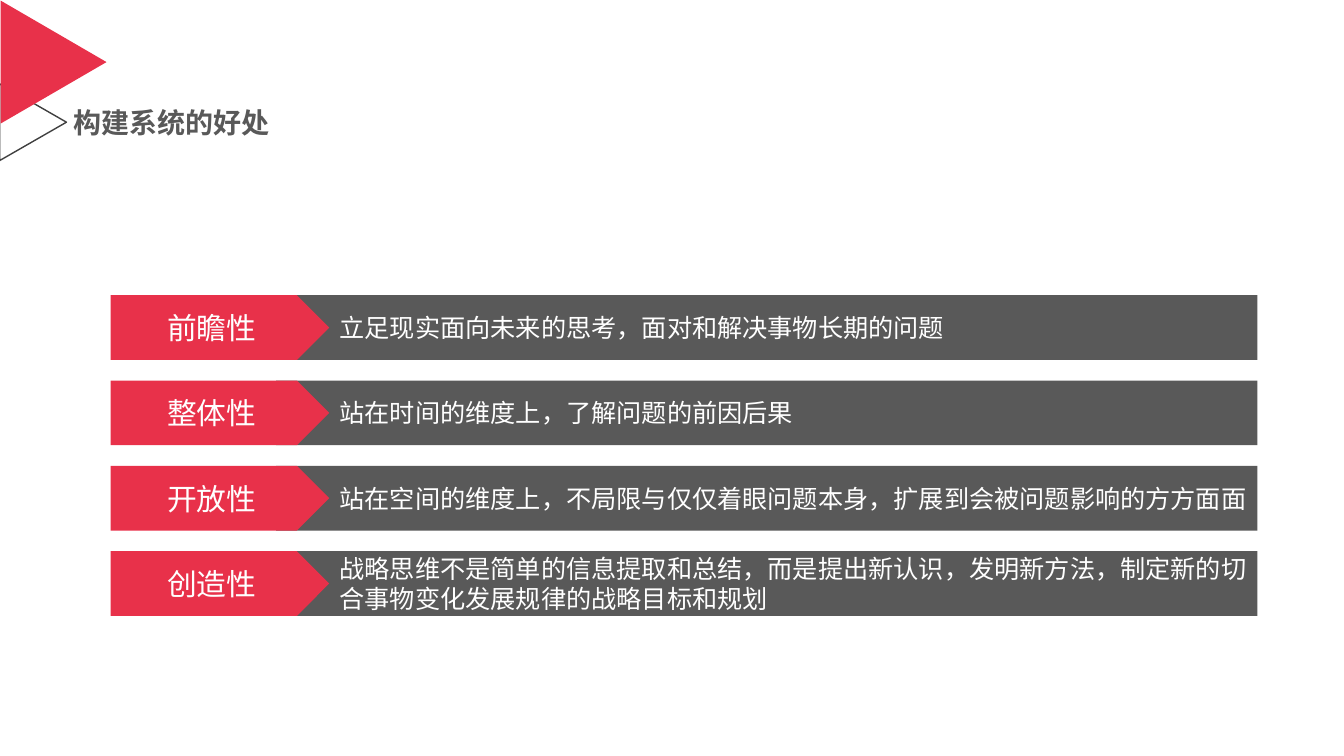
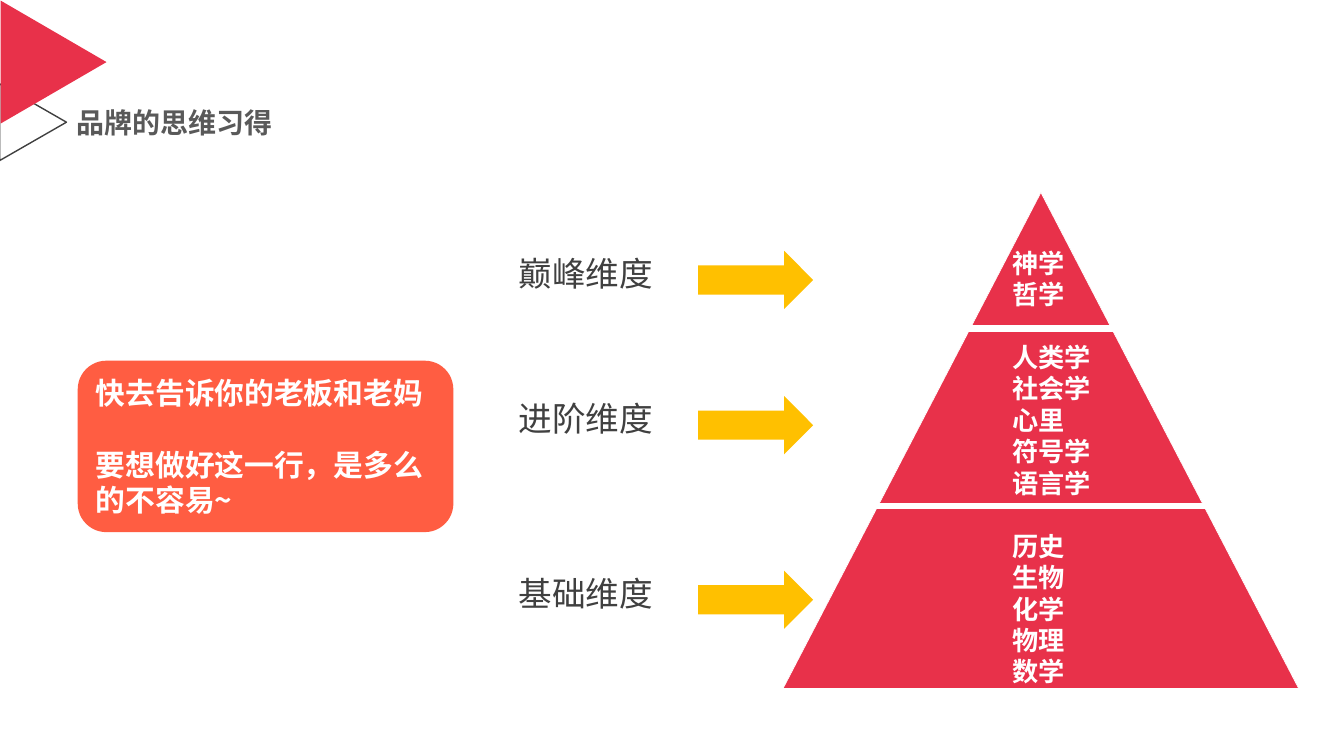
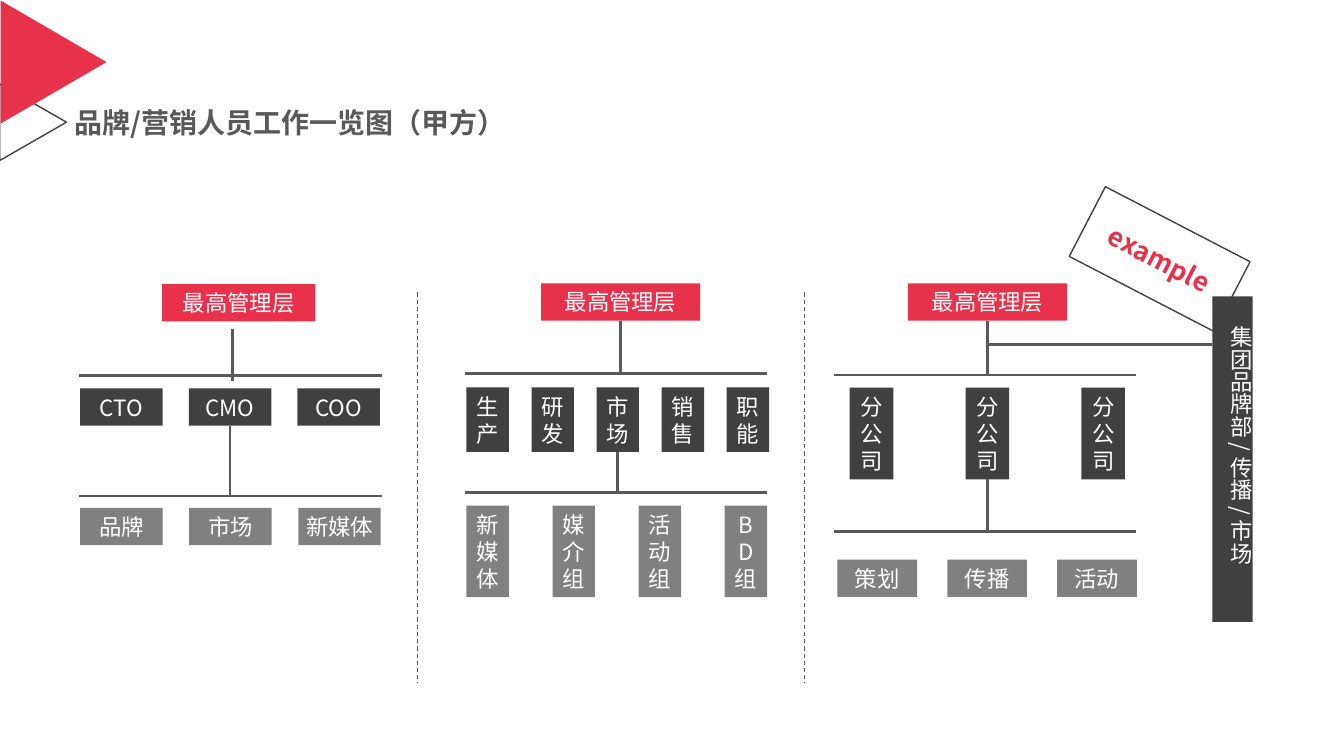
from dataclasses import dataclass

from lxml.etree import SubElement
from pptx import Presentation
from pptx.dml.color import RGBColor as RGB
from pptx.enum.dml import MSO_LINE
from pptx.enum.shapes import MSO_CONNECTOR, MSO_SHAPE as SHAPE
from pptx.enum.text import MSO_ANCHOR as ANCHOR, PP_ALIGN as ALIGN
from pptx.oxml.ns import qn
from pptx.util import Cm, Pt


@dataclass(frozen=True)
class Theme:
    font = "Noto Sans CJK SC"
    red = RGB(0xE8, 0x31, 0x4A)
    orange = RGB(0xFF, 0x5D, 0x42)
    yellow = RGB(0xFF, 0xC0, 0x00)
    white = RGB(0xFF, 0xFF, 0xFF)
    dark = RGB(0x40, 0x40, 0x40)
    grey = RGB(0x59, 0x59, 0x59)
    light = RGB(0x80, 0x80, 0x80)
    title_size = Pt(20)
    body_size = Pt(18)
    accent_size = Pt(21.3)
    level_size = Pt(24)
    subject_size = Pt(18.7)
    node_size = Pt(16)


theme = Theme()
title_text = dict(size=theme.title_size, color=theme.grey, bold=True)
body_text = dict(size=theme.body_size, color=theme.white)
quality_text = dict(size=theme.accent_size, color=theme.white)
callout_text = dict(size=theme.accent_size, color=theme.white, bold=True)
level_text = dict(size=theme.level_size, color=theme.dark)
subject_text = dict(size=theme.subject_size, color=theme.white, bold=True)
node_text = dict(size=theme.node_size, color=theme.white)
stamp_text = dict(size=theme.subject_size, color=theme.red, bold=True)

tight = dict.fromkeys(
    ("margin_left", "margin_right", "margin_top", "margin_bottom"), Cm(0.13))
top = dict(vertical_anchor=ANCHOR.TOP)
left = dict(alignment=ALIGN.LEFT)
centred = dict(alignment=ALIGN.CENTER)


def block(slide, kind, place, lines=(), text=None, para=centred, frame=None,
          fill=None, line=None, width=1.0, rotation=0.0):
    """Add a shape, or a text box if kind is None; place is in cm."""
    place = [Cm(length) for length in place]
    if kind is None:
        shape = slide.shapes.add_textbox(*place)
    else:
        shape = slide.shapes.add_shape(kind, *place)
    shape.shadow.inherit = False
    shape.rotation = rotation
    if fill is None:
        shape.fill.background()
    else:
        shape.fill.solid()
        shape.fill.fore_color.rgb = fill
    if line is None:
        shape.line.fill.background()
    else:
        shape.line.color.rgb = line
        shape.line.width = Pt(width)

    body = shape.text_frame
    settings = dict(word_wrap=True, vertical_anchor=ANCHOR.MIDDLE) | (frame or {})
    for name, value in settings.items():
        setattr(body, name, value)
    for index, words in enumerate(lines):
        paragraph = body.add_paragraph() if index else body.paragraphs[0]
        for name, value in para.items():
            setattr(paragraph, name, value)
        run = paragraph.add_run()
        run.text = words
        for name, value in text.items():
            if name == "color":
                run.font.color.rgb = value
            else:
                setattr(run.font, name, value)
        run.font.name = theme.font
        SubElement(run.font._element, qn("a:ea"), typeface=theme.font)
    return shape


def rule(slide, start, end, color=theme.grey, width=2.0, dash=None):
    """Add a straight line between two points in cm."""
    connector = slide.shapes.add_connector(
        MSO_CONNECTOR.STRAIGHT, *(Cm(length) for length in (*start, *end)))
    connector.line.color.rgb = color
    connector.line.width = Pt(width)
    if dash is not None:
        connector.line.dash_style = dash
    SubElement(connector.element.spPr, qn("a:effectLst"))
    return connector


deck = Presentation()
deck.slide_width, deck.slide_height = Cm(33.88), Cm(19.05)
blank = deck.slide_layouts[6]

titles = [
    (1.73, "构建系统的好处"),
    (1.80, "品牌的思维习得"),
    (1.75, "品牌/营销人员工作一览图（甲方）"),
]
slides = [deck.slides.add_slide(blank) for _ in titles]
benefits, learning, organisation = slides

# Corner triangles live on the layout, so every slide inherits them
corner = [
    block(benefits, SHAPE.ISOSCELES_TRIANGLE, (-0.13, 2.24, 1.93, 1.68),
          line=theme.dark, rotation=90),
    block(benefits, SHAPE.ISOSCELES_TRIANGLE, (-0.2, 0.23, 3.1, 2.67),
          fill=theme.red, rotation=90),
]
for triangle in corner:
    blank.shapes.element.append(triangle.element)

for slide, (x, title) in zip(slides, titles):
    block(slide, None, (x, 2.62, 14, 1.04), [title], title_text,
          left | dict(line_spacing=0.9), tight)

# Benefits: four labelled bars
qualities = [
    ("前瞻性", "立足现实面向未来的思考，面对和解决事物长期的问题"),
    ("整体性", "站在时间的维度上，了解问题的前因后果"),
    ("开放性", "站在空间的维度上，不局限与仅仅着眼问题本身，扩展到会被问题影响的方方面面"),
    ("创造性", "战略思维不是简单的信息提取和总结，而是提出新认识，发明新方法，"
               "制定新的切合事物变化发展规律的战略目标和规划"),
]
for row, (quality, meaning) in enumerate(qualities):
    y = 7.44 + 2.15 * row
    block(benefits, SHAPE.RECTANGLE, (6.96, y, 24.74, 1.63), [meaning], body_text,
          left, tight | dict(margin_left=Cm(1.6)), fill=theme.grey)
    block(benefits, SHAPE.PENTAGON, (2.79, y, 5.51, 1.63), [quality], quality_text,
          fill=theme.red)

# Learning: callout, levels and pyramid
callout = block(
    learning, SHAPE.ROUNDED_RECTANGLE, (1.96, 9.09, 9.47, 4.32),
    ["快去告诉你的老板和老妈", "要想做好这一行，是多么的不容易~"],
    callout_text, left, fill=theme.orange)
callout.text_frame.paragraphs[1].space_before = Pt(25.5)

block(learning, SHAPE.ISOSCELES_TRIANGLE, (19.74, 4.85, 13, 12.5),
      fill=theme.red, line=theme.white, width=0.5)
for x1, x2, y in [(23.11, 29.97, 8.28), (21.79, 30.94, 12.75)]:
    rule(learning, (x1, y), (x2, y), theme.white, 4.5)

tiers = [
    ["神学", "哲学"],
    ["人类学", "社会学", "心里", "符号学", "语言学"],
    ["历史", "生物", "化学", "物理", "数学"],
]
subjects = block(learning, None, (25.27, 6.1, 3, 11.43), sum(tiers, []),
                 subject_text, left, top)
for first in (len(tiers[0]), len(tiers[0] + tiers[1])):
    subjects.text_frame.paragraphs[first].space_before = Pt(22.5)

for level, y in [("巅峰维度", 6.32), ("进阶维度", 9.98), ("基础维度", 14.38)]:
    block(learning, SHAPE.RIGHT_ARROW, (17.6, y, 2.9, 1.47), fill=theme.yellow)
    block(learning, None, (12.82, y - 0.08, 4.2, 1.27), [level], level_text, left, top)

# Organisation: three charts, each with a head and two rows of nodes
for x in (10.53, 20.27):
    rule(organisation, (x, 7.37), (x, 17.22), width=0.75, dash=MSO_LINE.DASH)

# A row is: first left, pitch, top, width, height, names
charts = [
    dict(head=(4.09, 7.16, 3.86, 0.94), stem=(5.87, 8.28, 9.6),
         bar=(1.98, 9.63), bar_tops=(9.47, 12.5),
         rows=[(2.02, 2.74, 9.79, 2.08, 0.94, ["CTO", "CMO", "COO"]),
               (2.02, 2.75, 12.8, 2.08, 0.94, ["品牌", "市场", "新媒体"])]),
    dict(head=(13.64, 7.14, 4.01, 0.94), stem=None,
         bar=(11.71, 19.33), bar_tops=(9.42, 12.4),
         rows=[(11.76, 1.64, 9.76, 1.07, 1.63, ["生产", "研发", "市场", "销售", "职能"]),
               (11.76, 2.17, 12.74, 1.07, 2.31, ["新媒体", "媒介组", "活动组", "B\nD组"])]),
    dict(head=(22.89, 7.14, 4.01, 0.94), stem=None,
         bar=(21.02, 28.64), bar_tops=(9.45, 13.39),
         rows=[(21.42, 2.92, 9.77, 1.1, 2.31, ["分公司"] * 3),
               (21.11, 2.77, 14.1, 2.01, 0.94, ["策划", "传播", "活动"])]),
]
for chart in charts:
    head = block(organisation, SHAPE.RECTANGLE, chart["head"], ["最高管理层"],
                 node_text, frame=tight, fill=theme.red)
    for y in chart["bar_tops"]:
        rule(organisation, (chart["bar"][0], y), (chart["bar"][1], y))

    row_nodes = []
    for (x, pitch, y, w, h, names), color in zip(chart["rows"], (theme.dark, theme.light)):
        row_nodes.append([
            block(organisation, SHAPE.RECTANGLE, (x + pitch * column, y, w, h),
                  name.split("\n"), node_text, frame=tight, fill=color)
            for column, name in enumerate(names)])

    middle = row_nodes[0][len(row_nodes[0]) // 2]
    parents = [(middle, chart["bar_tops"][1])]
    if chart["stem"]:
        x, y1, y2 = chart["stem"]
        rule(organisation, (x, y1), (x, y2))
    else:
        parents.append((head, chart["bar_tops"][0]))
    for parent, y in parents:
        x = (parent.left + parent.width / 2) / Cm(1)
        stem = rule(organisation, (x, y), (x, y))
        stem.begin_connect(parent, 2)

# Group brand department beside the third chart
rule(organisation, (24.89, 8.69), (30.56, 8.69))
block(organisation, SHAPE.RECTANGLE, (30.56, 7.47, 1.02, 8.2), fill=theme.dark)
block(organisation, SHAPE.RECTANGLE, (27.18, 5.54, 4.11, 1.98), ["example"],
      stamp_text, line=theme.dark, rotation=27.4)
department = block(organisation, None, (30.56, 7.97, 1.19, 8.9),
                   ["集团品牌部 / 传播 / 市场"], node_text, left, top)
department.text_frame._txBody.bodyPr.set("vert", "eaVert")

deck.save("out.pptx")
